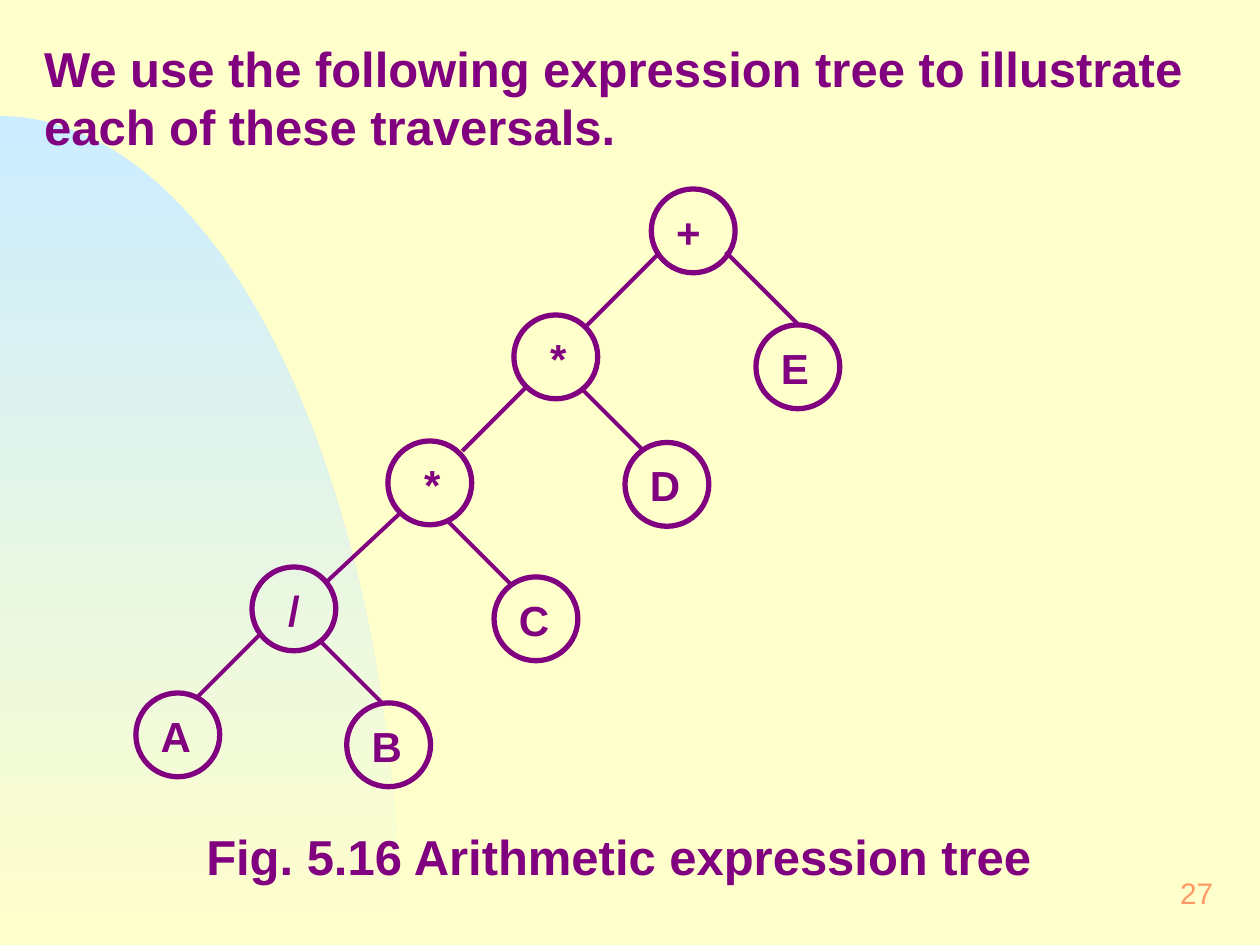
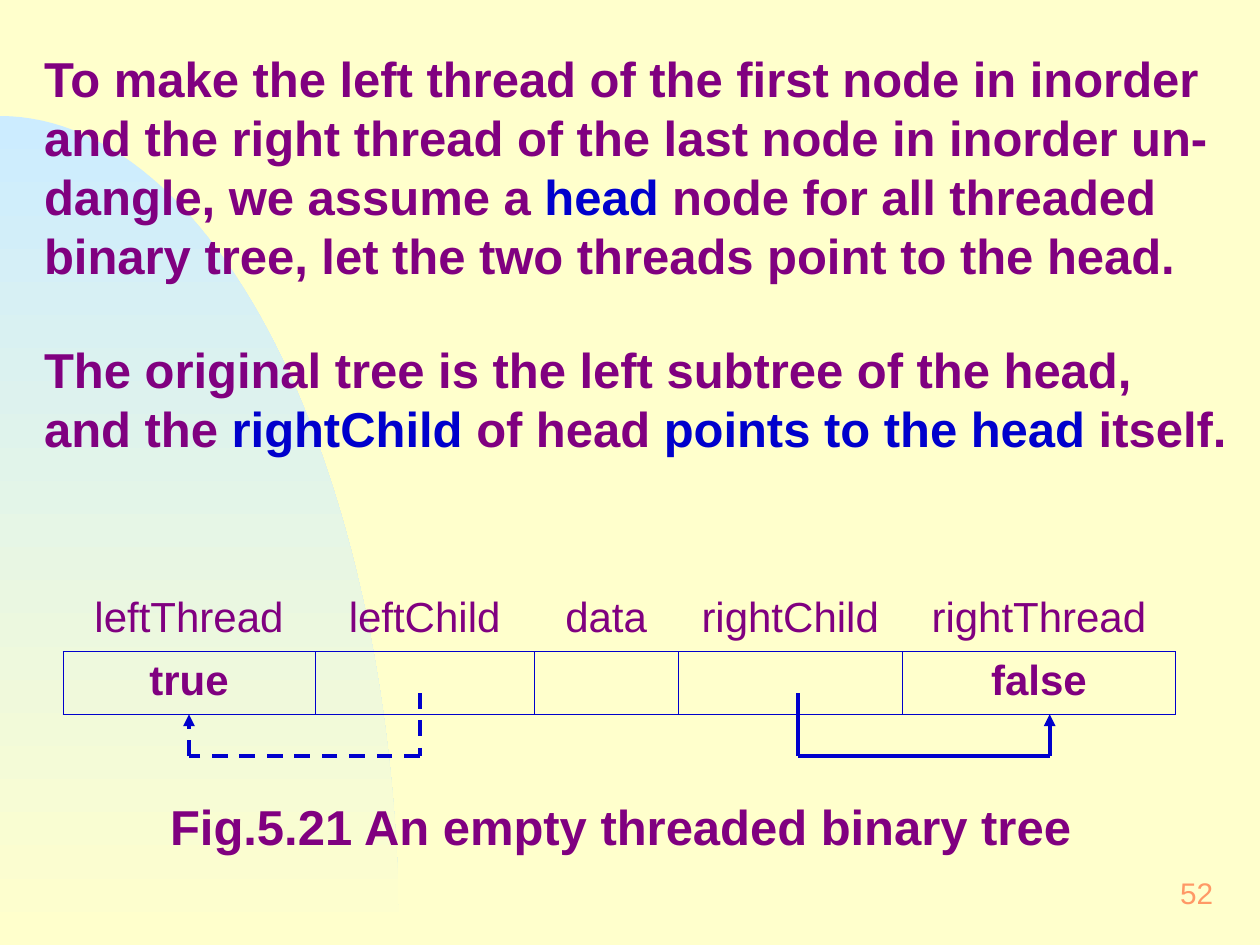
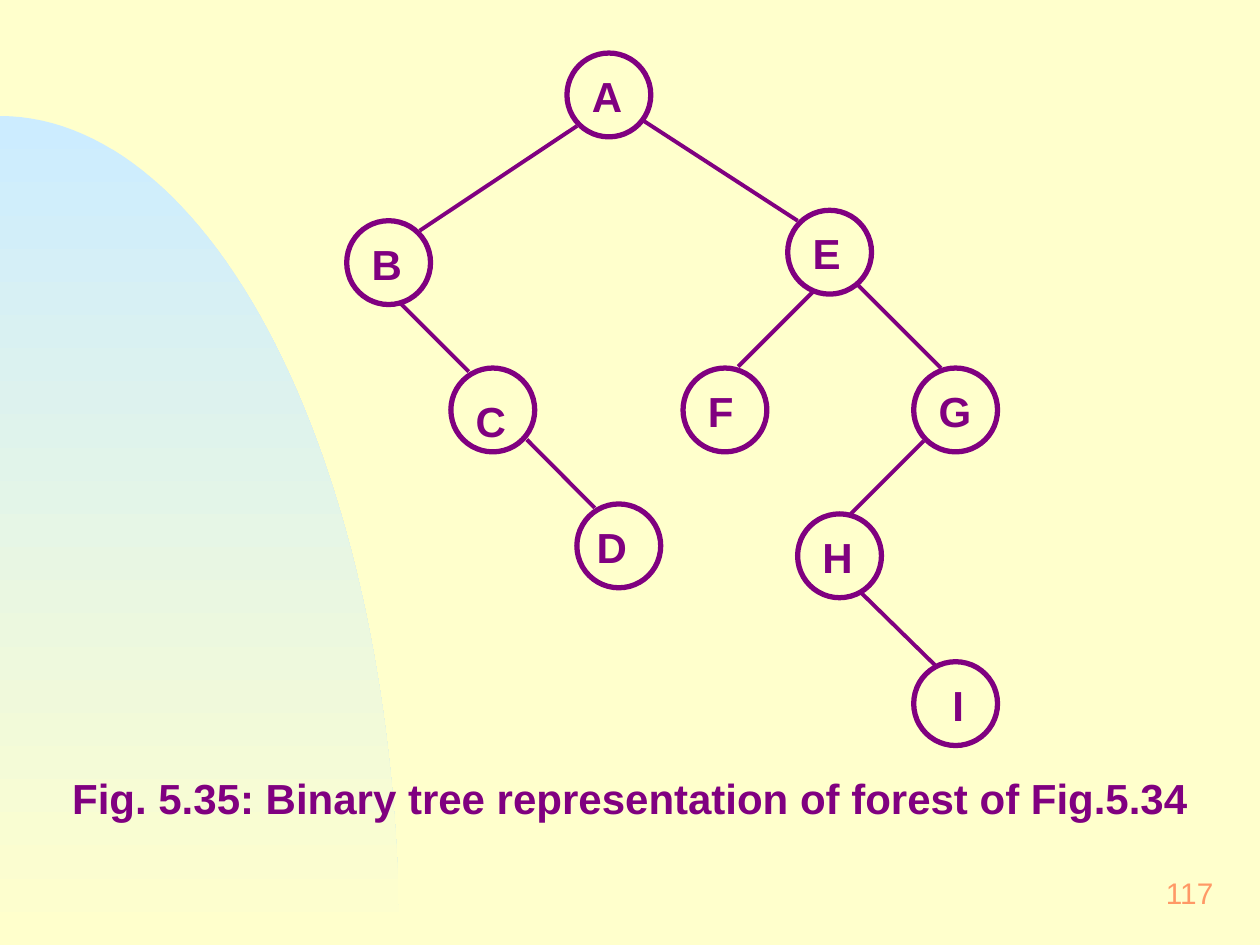
from math import cos, pi, sin

from lxml.etree import SubElement
from pptx import Presentation
from pptx.dml.color import RGBColor
from pptx.enum.dml import MSO_LINE
from pptx.enum.shapes import MSO_CONNECTOR, MSO_SHAPE
from pptx.enum.text import MSO_ANCHOR, PP_ALIGN
from pptx.oxml.ns import qn
from pptx.util import Cm, Pt

CREAM = RGBColor(0xFF, 0xFF, 0xCC)
SKY = RGBColor(0xCC, 0xEC, 0xFF)
PLUM = RGBColor(0x80, 0x00, 0x80)
BLUE = RGBColor(0x00, 0x00, 0xCC)
CORAL = RGBColor(0xFF, 0x99, 0x66)
FONT = "Arial"
NODE = 1.69
PAD = 0.2
PLAIN = "{2D5ABB26-0587-4C30-8999-92F81FD0307C}"


def add_run(para, words, size, color=PLUM, bold=True):
    run = para.add_run()
    run.text = words
    font = run.font
    font.name, font.size, font.bold = FONT, Pt(size), bold
    font.color.rgb = color


def add_text(slide, area, paras, size, color=PLUM, bold=True,
             align=PP_ALIGN.LEFT, inset=(0.25, 0.13), gap=0):
    frame = slide.shapes.add_textbox(*map(Cm, area)).text_frame
    frame.word_wrap = True
    frame.margin_left = frame.margin_right = Cm(inset[0])
    frame.margin_top = frame.margin_bottom = Cm(inset[1])
    for i, runs in enumerate(paras):
        para = frame.add_paragraph() if i else frame.paragraphs[0]
        para.alignment = align
        if i:
            para.space_before = Pt(gap)
        for words, tint in runs:
            add_run(para, words, size, tint or color, bold)
    return frame


def add_line(slide, ends, color=PLUM, dash=False, arrow=False):
    line = slide.shapes.add_connector(MSO_CONNECTOR.STRAIGHT, *map(Cm, ends))
    line.line.color.rgb = color
    line.line.width = Pt(2.25)
    if dash:
        line.line.dash_style = MSO_LINE.DASH
    if arrow:
        SubElement(line.line._get_or_add_ln(), qn("a:tailEnd"), type="triangle")
    SubElement(line.element.spPr, qn("a:effectLst"))


def add_node(slide, label, x, y, dx=0, dy=0):
    ring = slide.shapes.add_shape(MSO_SHAPE.OVAL, Cm(x), Cm(y), Cm(NODE), Cm(NODE))
    ring.shadow.inherit = False
    ring.fill.background()
    ring.line.color.rgb = PLUM
    ring.line.width = Pt(3)
    area = (x + PAD + dx, y + PAD + dy, 1.5, 1.32)
    add_text(slide, area, [[(label, None)]], 24, inset=(0.3, 0.15))


def add_tree(slide, nodes, edges):
    for node in nodes:
        add_node(slide, *node)
    for ends in edges:
        add_line(slide, ends)


def add_link(slide, start, end, dash=False):
    low = 15.24
    add_line(slide, (start, 13.97, start, low), BLUE, dash)
    add_line(slide, (start, low, end, low), BLUE, dash)
    add_line(slide, (end, low, end, 14.4), BLUE, dash, True)


def add_edges(cell):
    props = cell._tc.get_or_add_tcPr()
    for side in ("lnL", "lnR", "lnT", "lnB"):
        line = SubElement(props, qn("a:" + side), w=str(Pt(0.45)))
        fill = SubElement(line, qn("a:solidFill"))
        SubElement(fill, qn("a:srgbClr"), val=str(BLUE))


def add_record(slide, area, widths, rows):
    frame = slide.shapes.add_table(len(rows), len(widths), *map(Cm, area))
    frame.element.find(".//" + qn("a:tableStyleId")).text = PLAIN
    table = frame.table
    table.first_row = table.horz_banding = False
    for column, width in zip(table.columns, widths):
        column.width = Cm(width)
    for r, row in enumerate(rows):
        for c, words in enumerate(row):
            cell = table.cell(r, c)
            if r:
                add_edges(cell)
            cell.fill.background()
            if words:
                para = cell.text_frame.paragraphs[0]
                para.alignment = PP_ALIGN.CENTER
                add_run(para, words, 24, bold=r > 0)


def add_curve(slide, layout):
    wide, high, base, steps = 8.05, 16.71, 19.05, 60
    turns = [pi / 2 * i / steps for i in range(steps + 1)]
    spots = [(Cm(wide * sin(t)), Cm(base - high * cos(t))) for t in turns]
    pen = slide.shapes.build_freeform(*spots[0])
    pen.add_line_segments(spots[1:] + [(0, Cm(base))], close=True)
    curve = pen.convert_to_shape()
    curve.shadow.inherit = False
    curve.line.fill.background()
    curve.fill.gradient()
    curve.fill.gradient_angle = 270
    for stop, color in zip(curve.fill.gradient_stops, (SKY, CREAM)):
        stop.color.rgb = color
    layout.shapes.element.append(curve.element)


def add_page(deck, layout, number):
    slide = deck.slides.add_slide(layout)
    frame = add_text(slide, (19.48, 17.35, 5.28, 1.27), [[(number, None)]], 17,
                     CORAL, False, PP_ALIGN.RIGHT, (0.3, 0.15))
    frame.vertical_anchor = MSO_ANCHOR.MIDDLE
    return slide


def main():
    deck = Presentation()
    deck.slide_width, deck.slide_height = Cm(25.4), Cm(19.05)
    layout = deck.slide_layouts[6]
    layout.background.fill.solid()
    layout.background.fill.fore_color.rgb = CREAM

    slide = add_page(deck, layout, "27")
    add_curve(slide, layout)
    add_text(slide, (0.64, 0.64, 24.33, 2.64), [[(
        "We use the following expression tree to illustrate "
        "each of these traversals.", None)]], 28)
    add_tree(slide, [
        ("+", 13.13, 3.81), ("*", 10.36, 6.35, 0.23), ("*", 7.82, 8.89, 0.23),
        ("/", 5.08, 11.43, 0.23), ("A", 2.74, 13.97), ("B", 6.99, 14.17),
        ("C", 9.96, 11.63), ("D", 12.6, 8.92), ("E", 15.24, 6.55),
    ], [
        (13.26, 5.13, 11.79, 6.6), (14.63, 5.08, 16.1, 6.55),
        (10.59, 7.82, 9.32, 9.09), (11.71, 7.82, 12.98, 9.09),
        (8.05, 10.36, 6.55, 11.76), (9.04, 10.52, 10.31, 11.79),
        (5.23, 12.8, 3.96, 14.07), (6.43, 12.9, 7.7, 14.17),
    ])
    add_text(slide, (3.91, 16.54, 17.7, 1.45),
             [[("Fig. 5.16 Arithmetic expression tree", None)]], 28)

    slide = add_page(deck, layout, "52")
    add_text(slide, (0.64, 0.85, 24.4, 8.56), [
        [("To make the left thread of the first node in inorder and the right "
          "thread of the last node in inorder un-dangle, we assume a ", None),
         ("head", BLUE),
         (" node for all threaded binary tree, let the two threads point "
          "to the head.", None)],
        [("The original tree is the left subtree of the head, and the ", None),
         ("rightChild", BLUE), (" of head ", None),
         ("points to the head", BLUE), (" itself.", None)],
    ], 28, gap=32)
    add_record(slide, (1.27, 11.86, 22.43, 2.54), (5.08, 4.42, 2.9, 4.52, 5.51), [
        ("leftThread", "leftChild", "data", "rightChild", "rightThread"),
        ("true", "", "", "", "false"),
    ])
    add_text(slide, (3.18, 15.93, 19.05, 1.45),
             [[("Fig.5.21 An empty threaded binary tree", None)]], 28)
    add_link(slide, 8.46, 3.81, True)
    add_link(slide, 16.08, 21.16)

    slide = add_page(deck, layout, "117")
    add_tree(slide, [
        ("A", 11.43, 1.07), ("B", 6.99, 4.45), ("C", 9.09, 7.42, 0, 0.2),
        ("D", 11.63, 10.16, -0.1), ("E", 15.88, 4.24), ("F", 13.77, 7.42),
        ("G", 18.42, 7.42), ("H", 16.08, 10.36), ("I", 18.42, 13.34, 0.28),
    ], [
        (11.63, 2.54, 8.46, 4.65), (12.98, 2.44, 16.08, 4.45),
        (8.08, 6.12, 9.45, 7.49), (10.62, 8.86, 11.99, 10.24),
        (16.38, 5.89, 14.88, 7.39), (17.27, 5.72, 18.97, 7.42),
        (18.62, 8.89, 17.15, 10.36), (17.35, 11.94, 18.85, 13.41),
    ])
    add_text(slide, (0.85, 15.44, 23.7, 1.27),
             [[("Fig. 5.35: Binary tree representation of forest of Fig.5.34", None)]],
             24, align=PP_ALIGN.CENTER)

    deck.save("out.pptx")


if __name__ == "__main__":
    main()
